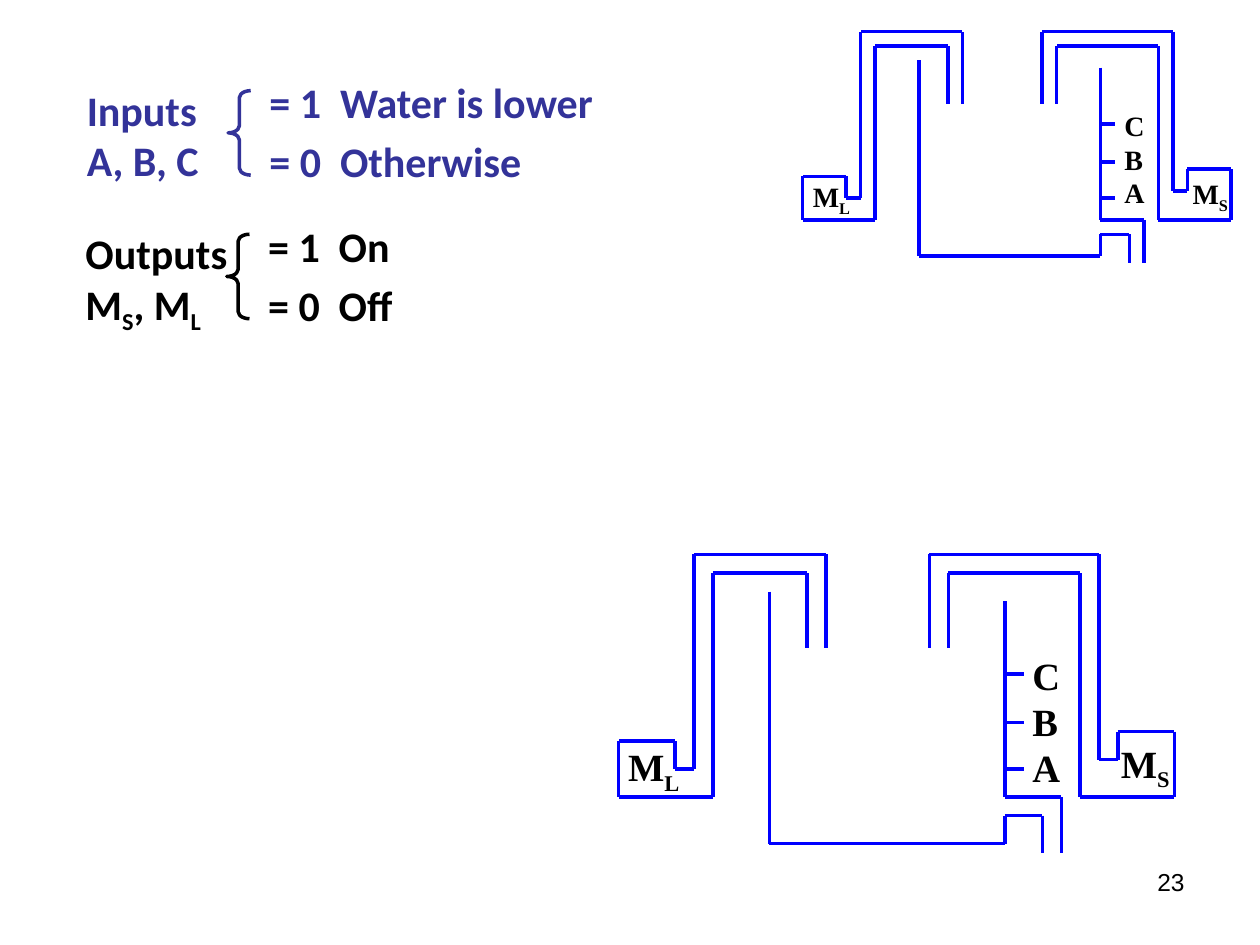
import itertools

import pptx
import pptx.dml.color
import pptx.enum.shapes
import pptx.enum.text
import pptx.oxml
import pptx.oxml.ns
import pptx.util
from pptx.util import Inches

COLORS = {"pipe": "0000FF", "input": "333399", "black": "000000"}
NS = pptx.oxml.ns.nsdecls("a")

# Outlines of the water tank on a grid of 29.5 by 16 units
TANK_OUTLINES = [
    # large motor and its pipe
    [(11, 5), (11, 0), (4, 0), (4, 11.5), (3, 11.5), (3, 10), (0, 10),
     (0, 13), (5, 13), (5, 1), (10, 1), (10, 5)],
    # tank and drain
    [(8, 2), (8, 15.5), (20.5, 15.5), (20.5, 14), (22.5, 14), (22.5, 16)],
    [(20.5, 2.5), (20.5, 13), (23.5, 13), (23.5, 16)],
    # small motor and its pipe
    [(16.5, 5), (16.5, 0), (25.5, 0), (25.5, 11), (26.5, 11), (26.5, 9.5),
     (29.5, 9.5), (29.5, 13), (24.5, 13), (24.5, 1), (17.5, 1), (17.5, 5)],
    # level sensors
    *[[(20.5, level), (21.5, level)] for level in (6.4, 9, 11.5)],
]


def rgb(name):
    return pptx.dml.color.RGBColor.from_string(COLORS[name])


def add_text(shapes, lines, left, top, width, height, *, size, font,
             color="black", bold=True, align=None, gap=0, tab=None):
    """Place lines of text; an underscore makes the next letter a subscript."""
    box = shapes.add_textbox(Inches(left), Inches(top), Inches(width), Inches(height))
    frame = box.text_frame
    frame.word_wrap = True
    for index, line in enumerate(lines):
        paragraph = frame.paragraphs[0] if index == 0 else frame.add_paragraph()
        if align is not None:
            paragraph.alignment = align
        if tab:
            paragraph._p.get_or_add_pPr().append(pptx.oxml.parse_xml(
                f'<a:tabLst {NS}><a:tab pos="{Inches(tab)}" algn="l"/></a:tabLst>'))
        if index and gap:
            paragraph.space_before = pptx.util.Pt(gap)
        first, *rest = line.split("_")
        pieces = [(first, False)]
        for part in rest:
            pieces += [(part[0], True), (part[1:], False)]
        for piece, lowered in pieces:
            if not piece:
                continue
            run = paragraph.add_run()
            run.text = piece
            run.font.size = pptx.util.Pt(size)
            run.font.name = font
            run.font.bold = bold
            run.font.color.rgb = rgb(color)
            if lowered:
                run._r.get_or_add_rPr().set("baseline", "-25000")


def add_pipe(shapes, start, end):
    pipe = shapes.add_connector(pptx.enum.shapes.MSO_CONNECTOR.STRAIGHT,
                                *map(Inches, (*start, *end)))
    pipe.line.color.rgb = rgb("pipe")
    pipe.line.width = pptx.util.Pt(2)
    pipe._element.spPr.append(pptx.oxml.parse_xml(f"<a:effectLst {NS}/>"))


def add_tank(slide, left, top, width, height, size):
    shapes = slide.shapes.add_group_shape().shapes

    def locate(point):
        return left + point[0] * width / 29.5, top + point[1] * height / 16

    for outline in TANK_OUTLINES:
        for start, end in itertools.pairwise(map(locate, outline)):
            add_pipe(shapes, start, end)

    unit = width / 29.5
    for lines, corner, columns, rows in (
            (["M_L"], (-0.15, 9.8), 4.5, 3.2),
            (["M_S"], (26, 9.6), 4.5, 3.2),
            (["C", "B", "A"], (21.3, 4.9), 2.1, 8)):
        add_text(shapes, lines, *locate(corner), columns * unit, rows * unit,
                 size=size, font="Times New Roman")


def add_definition(slide, left, top, names, values, color):
    """Signal names, a brace and the meaning of both signal values."""
    shapes = slide.shapes.add_group_shape().shapes
    style = dict(size=24, font="Calibri", color=color)
    add_text(shapes, names, left, top, 1.42, 0.9, **style)
    brace = shapes.add_shape(pptx.enum.shapes.MSO_SHAPE.LEFT_BRACE,
                             Inches(left + 1.22), Inches(top + 0.1),
                             Inches(0.18), Inches(0.67))
    brace.adjustments[0] = 0.31
    brace.shadow.inherit = False
    brace.fill.background()
    brace.line.color.rgb = rgb(color)
    brace.line.width = pptx.util.Pt(2)
    add_text(shapes, values, left + 1.45, top - 0.06, 3.35, 0.98,
             gap=4.8, tab=0.56, **style)


def main():
    deck = pptx.Presentation()
    deck.slide_width, deck.slide_height = Inches(10), Inches(7.5)
    slide = deck.slides.add_slide(deck.slide_layouts[6])

    add_text(slide.shapes, ["23"], 7.17, 6.83, 2.33, 0.52, size=14, font="Arial",
             bold=False, align=pptx.enum.text.PP_ALIGN.RIGHT)
    add_tank(slide, 4.91, 4.4, 4.41, 2.37, size=22)
    add_tank(slide, 6.37, 0.25, 3.4, 1.84, size=16)
    add_definition(slide, 0.59, 0.62, ["Inputs", "A, B, C"],
                   ["= 1\tWater is lower", "= 0\tOtherwise"], "input")
    add_definition(slide, 0.58, 1.76, ["Outputs", "M_S, M_L"],
                   ["= 1\tOn", "= 0\tOff"], "black")
    deck.save("out.pptx")


if __name__ == "__main__":
    main()
